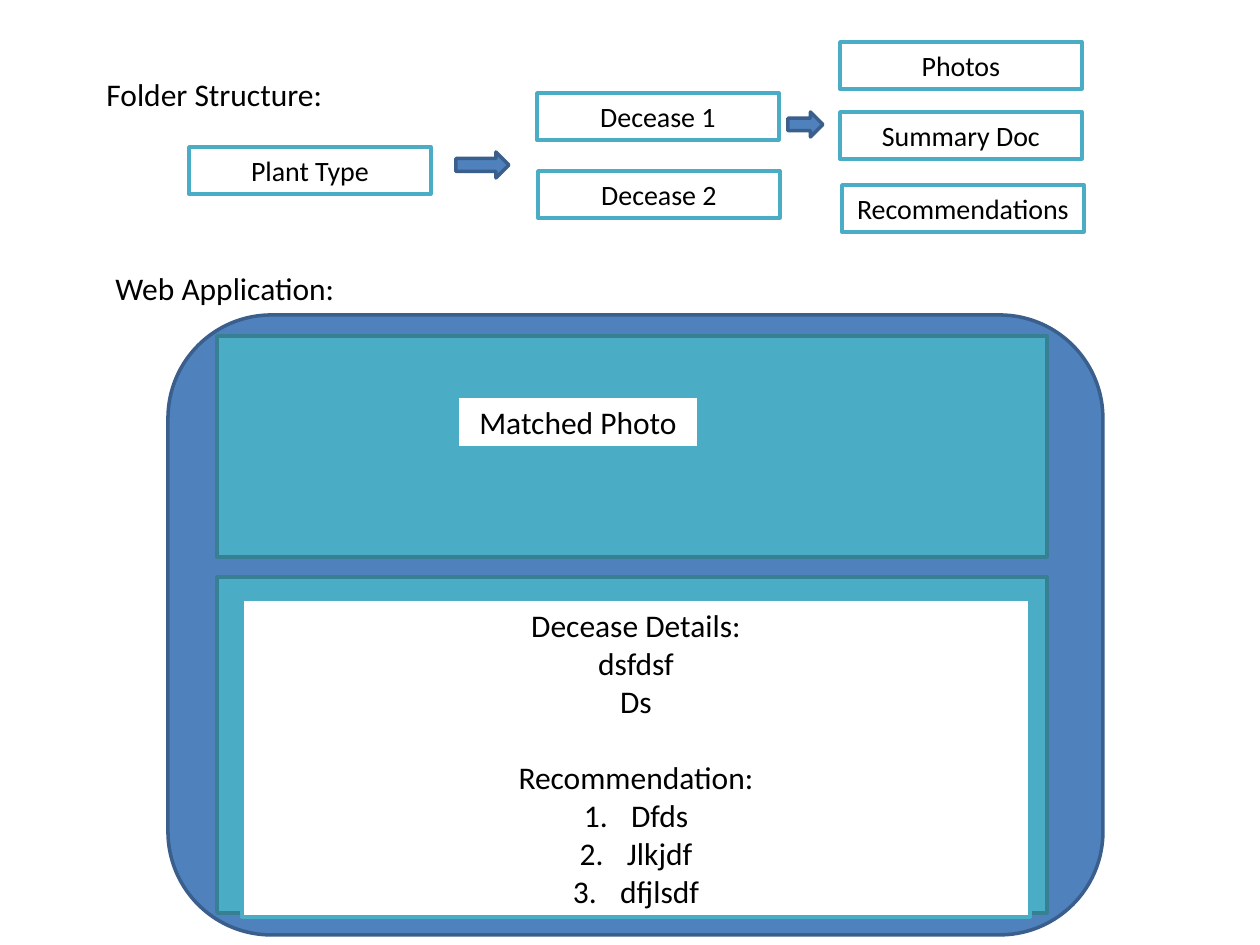
import pptx
import pptx.dml.color
import pptx.enum.shapes
import pptx.enum.text
import pptx.util
from pptx.oxml import parse_xml
from pptx.oxml.ns import nsdecls

PX = 914400 / 126
SHAPES = pptx.enum.shapes.MSO_SHAPE
ALIGN = pptx.enum.text.PP_ALIGN
BLUE, BLUE_EDGE = "4F81BD", "3A5F8C"
TEAL, TEAL_EDGE = "4BACC6", "377F92"
WHITE, BLACK = "FFFFFF", "000000"
BOX_WIDTH, BOX_HEIGHT = 242, 47


def px(*lengths):
    return [pptx.util.Emu(round(length * PX)) for length in lengths]


def color(hex_string):
    return pptx.dml.color.RGBColor.from_string(hex_string)


def add_text(frame, text, size=18, align=ALIGN.CENTER, new=False, before=0, numbered=False):
    """Write one paragraph, as a new one or in the frame's first."""
    paragraph = frame.add_paragraph() if new else frame.paragraphs[0]
    paragraph.text = text
    paragraph.alignment = align
    if before:
        paragraph.space_before = pptx.util.Pt(before)
    for run in paragraph.runs:
        run.font.name = "Calibri"
        run.font.size = pptx.util.Pt(size)
        run.font.color.rgb = color(BLACK)
    if numbered:
        properties = paragraph._p.get_or_add_pPr()
        properties.set("marL", "342900")
        properties.set("indent", "-342900")
        properties.append(parse_xml(f'<a:buFont {nsdecls("a")} typeface="+mj-lt"/>'))
        properties.append(parse_xml(f'<a:buAutoNum {nsdecls("a")} type="arabicPeriod"/>'))


def add_block(slide, kind, left, top, width, height, fill, edge):
    shape = slide.shapes.add_shape(kind, *px(left, top, width, height))
    shape.shadow.inherit = False
    shape.fill.solid()
    shape.fill.fore_color.rgb = color(fill)
    shape.line.color.rgb = color(edge)
    shape.line.width = pptx.util.Pt(2)
    return shape


def add_label_box(slide, text, left, top, width=BOX_WIDTH, height=BOX_HEIGHT, size=16):
    shape = add_block(slide, SHAPES.RECTANGLE, left, top, width, height, WHITE, TEAL)
    shape.text_frame.word_wrap = True
    add_text(shape.text_frame, text, size=size)
    return shape


def add_heading(slide, text, left, top, width):
    heading = slide.shapes.add_textbox(*px(left, top, width, 50))
    heading.text_frame.word_wrap = False
    add_text(heading.text_frame, text, align=ALIGN.LEFT)


def add_folder_structure(slide, left, top):
    add_heading(slide, "Folder Structure:", left, top + 27, 243)
    for text, x, y in (
        ("Plant Type", 95, 105),
        ("Decease 1", 443, 51),
        ("Decease 2", 444, 129),
        ("Photos", 746, 0),
        ("Summary Doc", 746, 70),
        ("Recommendations", 748, 143),
    ):
        add_label_box(slide, text, left + x, top + y)
    for x, y, width, height in ((362, 110, 53, 26), (694, 70, 35, 25)):
        add_block(slide, SHAPES.RIGHT_ARROW, left + x, top + y, width, height, BLUE, BLUE_EDGE)


def add_web_application(slide, left, top):
    add_heading(slide, "Web Application:", left, top, 247)
    add_block(slide, SHAPES.ROUNDED_RECTANGLE, left + 65, top + 52, 935, 620, BLUE, BLUE_EDGE)
    for y, height in ((73, 221), (314, 336)):
        add_block(slide, SHAPES.RECTANGLE, left + 114, top + y, 830, height, TEAL, TEAL_EDGE)
    add_label_box(slide, "Matched Photo", left + 354, top + 133, height=52, size=18)

    details = add_label_box(slide, "Decease Details:\vdsfdsf", left + 139, top + 336, 788, 318, size=18)
    frame = details.text_frame
    add_text(frame, "Ds", new=True)
    add_text(frame, "Recommendation:", new=True, before=22)
    for item in ("Dfds", "Jlkjdf", "dfjlsdf"):
        add_text(frame, item, new=True, numbered=True)


def main():
    presentation = pptx.Presentation()
    presentation.slide_width, presentation.slide_height = px(1260, 945)
    slide = presentation.slides.add_slide(presentation.slide_layouts[6])
    add_folder_structure(slide, 94, 42)
    add_web_application(slide, 103, 263)
    presentation.save("out.pptx")


if __name__ == "__main__":
    main()
